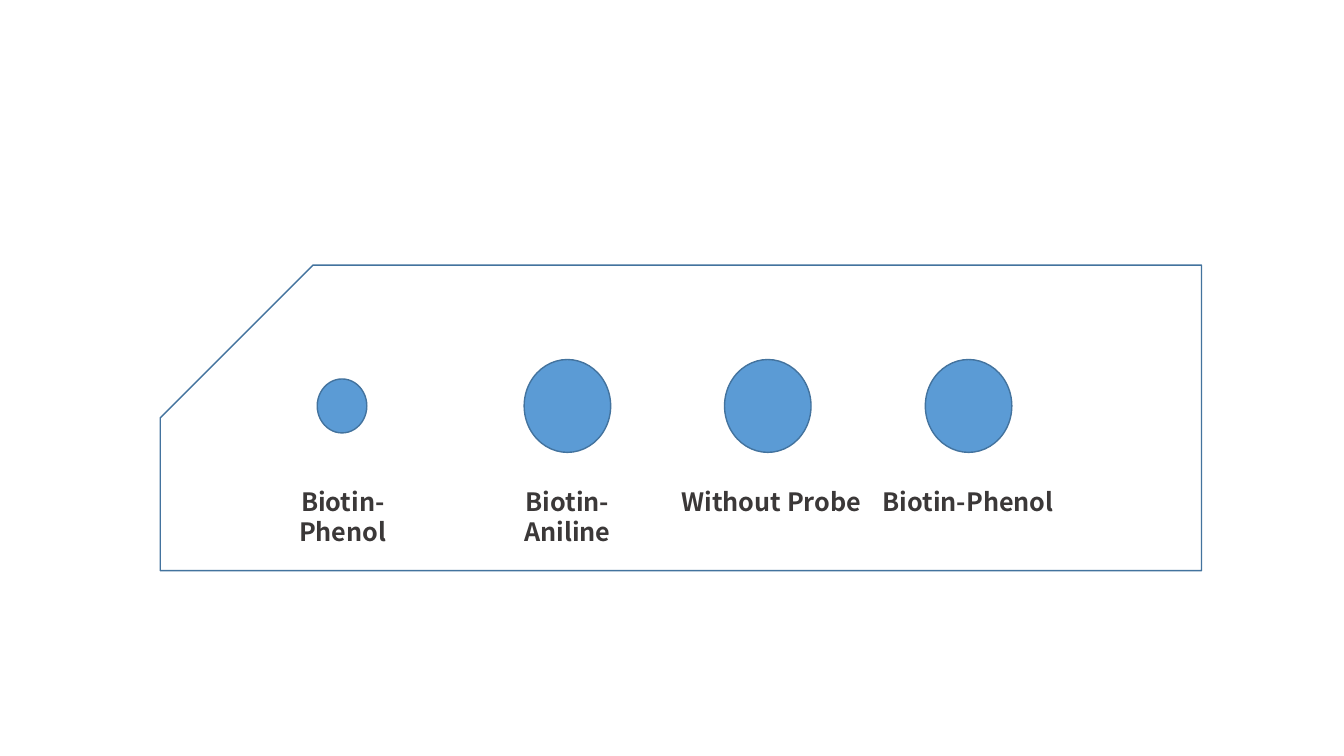
import pptx
import pptx.dml.color
import pptx.enum.shapes
import pptx.enum.text
import pptx.util

Cm = pptx.util.Cm
Pt = pptx.util.Pt
Preset = pptx.enum.shapes.MSO_SHAPE

SLIDE_SIZE = (33.87, 19.05)
MEMBRANE = (4.04, 6.68, 26.24, 7.7)
SPOT_MIDDLE = 10.23
SMALL_SPOT = (1.25, 1.36)
LARGE_SPOT = (2.18, 2.34)
LABEL_TOP = 12.12
LABEL_HEIGHT = 1.02
NARROW_LABEL = 4.62
WIDE_LABEL = 5.66
SAMPLES = [
    ("Biotin-Phenol", 8.62, SMALL_SPOT, 8.64, NARROW_LABEL),
    ("Biotin-Aniline", 14.3, LARGE_SPOT, 14.3, NARROW_LABEL),
    ("Without Probe", 19.35, LARGE_SPOT, 19.44, WIDE_LABEL),
    ("Biotin-Phenol", 24.41, LARGE_SPOT, 24.4, WIDE_LABEL),
]
SPOT_FILL = "5B9BD5"
OUTLINE = "43739E"
LABEL_COLOUR = "3B3838"
LABEL_FONT = {"name": "Noto Sans CJK SC", "size": Pt(18), "bold": True}


def colour(target, value):
    target.rgb = pptx.dml.color.RGBColor.from_string(value)


def add_outlined(page, preset, left, top, width, height):
    shape = page.shapes.add_shape(preset, Cm(left), Cm(top), Cm(width), Cm(height))
    shape.shadow.inherit = False
    shape.line.width = Pt(1)
    colour(shape.line.color, OUTLINE)
    return shape


def add_membrane(page):
    membrane = add_outlined(page, Preset.SNIP_1_RECTANGLE, *MEMBRANE)
    membrane.adjustments[0] = 0.5
    membrane.fill.background()
    membrane.element.spPr.get_or_add_xfrm().set("flipH", "1")


def add_spot(page, centre, size):
    width, height = size
    spot = add_outlined(page, Preset.OVAL, centre - width / 2,
                        SPOT_MIDDLE - height / 2, width, height)
    spot.fill.solid()
    colour(spot.fill.fore_color, SPOT_FILL)


def add_label(page, text, centre, width):
    box = page.shapes.add_textbox(Cm(centre - width / 2), Cm(LABEL_TOP),
                                  Cm(width), Cm(LABEL_HEIGHT))
    frame = box.text_frame
    frame.word_wrap = True
    frame.auto_size = pptx.enum.text.MSO_AUTO_SIZE.SHAPE_TO_FIT_TEXT
    para = frame.paragraphs[0]
    para.alignment = pptx.enum.text.PP_ALIGN.CENTER
    span = para.add_run()
    span.text = text
    for name, value in LABEL_FONT.items():
        setattr(span.font, name, value)
    colour(span.font.color, LABEL_COLOUR)


def main():
    deck = pptx.Presentation()
    deck.slide_width, deck.slide_height = map(Cm, SLIDE_SIZE)
    page = deck.slides.add_slide(deck.slide_layouts[6])
    add_membrane(page)
    for text, spot_centre, spot_size, label_centre, label_width in SAMPLES:
        add_spot(page, spot_centre, spot_size)
        add_label(page, text, label_centre, label_width)
    deck.save("out.pptx")


if __name__ == "__main__":
    main()
